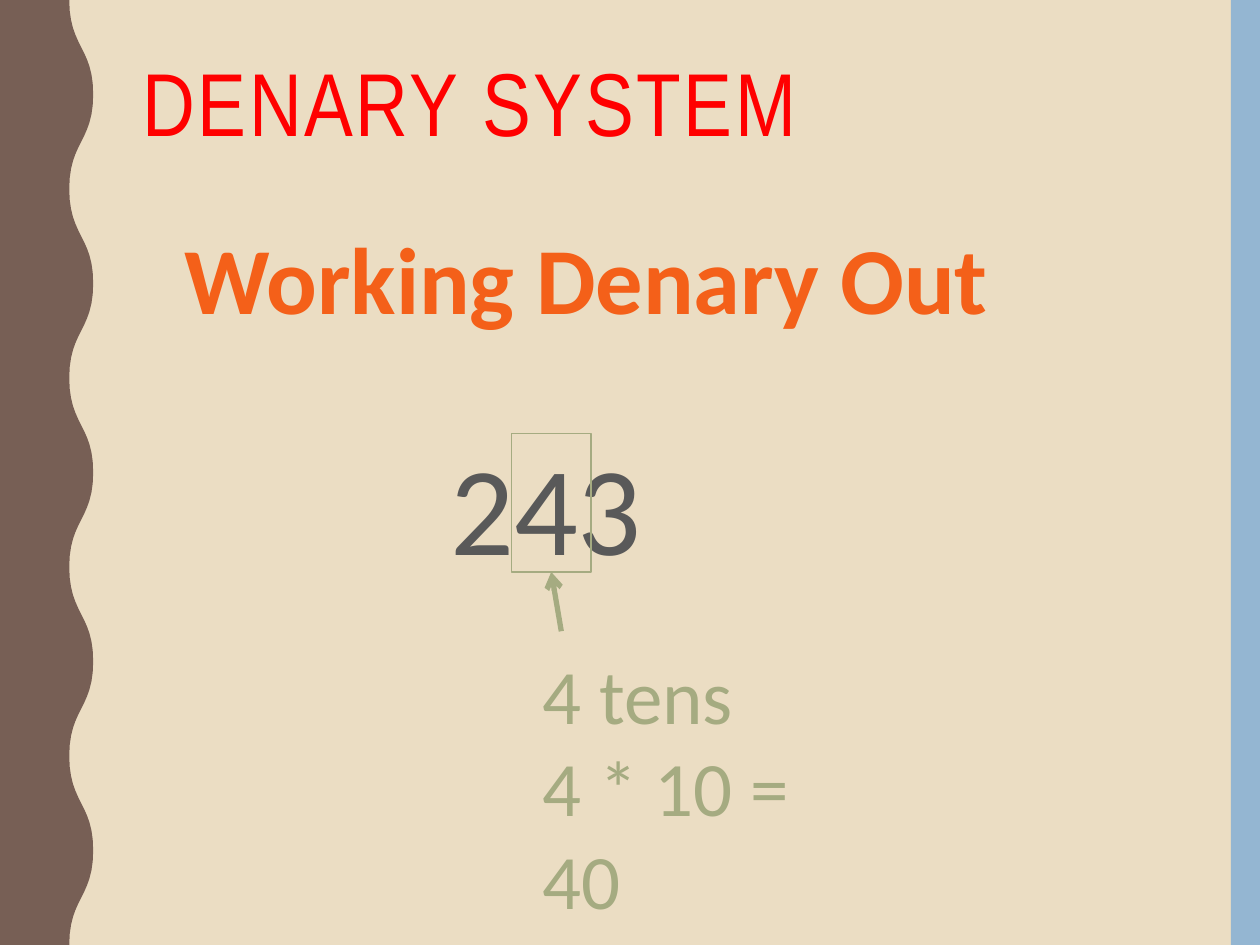
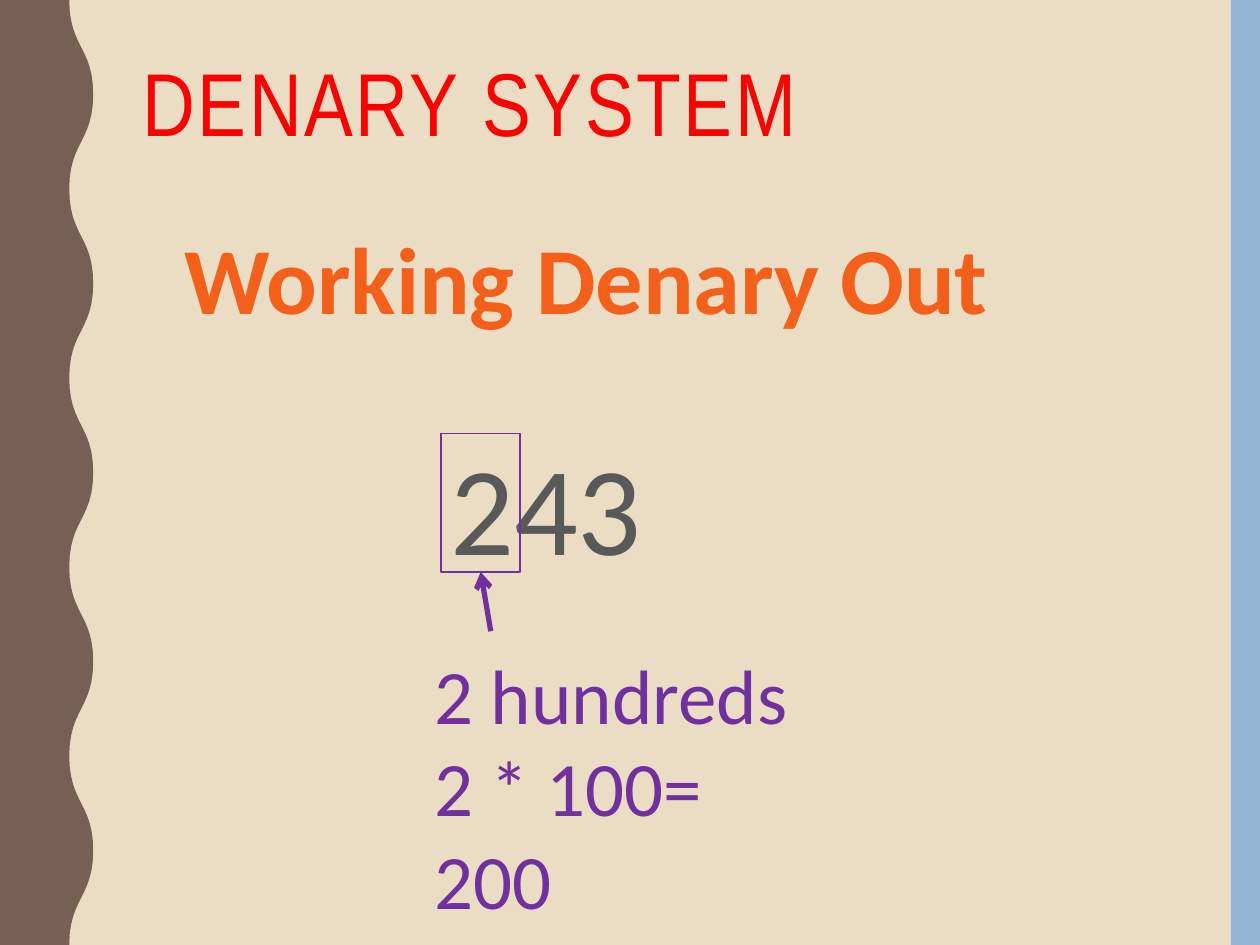
from lxml import etree
from pptx import Presentation
from pptx.dml.color import RGBColor
from pptx.enum.shapes import MSO_CONNECTOR, MSO_SHAPE
from pptx.enum.text import MSO_ANCHOR, MSO_AUTO_SIZE, PP_ALIGN
from pptx.oxml.ns import qn
from pptx.util import Pt

LEFT, CENTER = PP_ALIGN.LEFT, PP_ALIGN.CENTER
TOP, NO_FIT = MSO_ANCHOR.TOP, MSO_AUTO_SIZE.NONE
RECT, STRAIGHT = MSO_SHAPE.RECTANGLE, MSO_CONNECTOR.STRAIGHT

SAND = RGBColor(0xEB, 0xDD, 0xC3)
BROWN = RGBColor(0x77, 0x5F, 0x55)
BLUE = RGBColor(0x94, 0xB6, 0xD2)
RED = RGBColor(0xFF, 0x00, 0x00)
ORANGE = RGBColor(0xF4, 0x60, 0x19)
GREY = RGBColor(0x59, 0x59, 0x59)
GREEN = RGBColor(0xA5, 0xAB, 0x81)
PURPLE = RGBColor(0x70, 0x30, 0xA0)

WIDTH, HEIGHT = 720, 540
TITLE_BOX = (74.16, 30.24, 601.2, 117.36)
HEADING_BOX = (87.84, 122.4, 494.64, 72.72)
NUMBER_BOX = (195.84, 241.92, 232.56, 96.48)
DIGIT_TOP, DIGIT_WIDTH, DIGIT_HEIGHT = 247.68, 45.36, 79.2
LABEL_TOP, LABEL_HEIGHT = 366.48, 113.76

DIGITS = [
    dict(left=292.32, label_left=303.12, label_width=208.08, color=GREEN,
         lines=["4 tens", "4 * 10 = 40"]),
    dict(left=252, label_left=241.2, label_width=243.36, color=PURPLE,
         lines=["2 hundreds", "2 * 100= 200"]),
]


def write(sp, lines, size, color, font="Calibri", bold=False, align=LEFT,
          line_spacing=None, before=0, tracking=0, right_inset=7.2):
    """Fill a text shape with one formatted paragraph per line."""
    tf = sp.text_frame
    tf.word_wrap, tf.auto_size, tf.vertical_anchor = True, NO_FIT, TOP
    tf.margin_right = Pt(right_inset)
    for i, line in enumerate(lines):
        p = tf.add_paragraph() if i else tf.paragraphs[0]
        p.alignment, p.line_spacing, p.space_before = align, line_spacing, Pt(before)
        r = p.add_run()
        r.text = line
        r.font.name, r.font.size, r.font.bold = font, Pt(size), bold
        r.font.color.rgb = color
        if tracking:
            r.font._element.set("spc", str(int(tracking * 100)))


def text_box(s, box, lines, size, color, **style):
    """Add a text box at the given box."""
    write(s.shapes.add_textbox(*map(Pt, box)), lines, size, color, **style)


def paint(sp, color):
    """Give a shape a flat fill without outline or shadow."""
    sp.shadow.inherit = False
    sp.fill.solid()
    sp.fill.fore_color.rgb = color
    sp.line.fill.background()


def wave_band(s, trough=39.6, crest=53.28, swings=10, steps=12):
    """Draw the wavy band down the left edge."""
    swing = HEIGHT / swings
    edge = []
    for n in range(swings):
        for k in range(steps):
            t = k / steps
            ease = 3 * t**2 - 2 * t**3
            share = 1 - ease if n % 2 else ease
            drop = 1.5 * t * (1 - t) + t**3
            edge.append((Pt(trough + (crest - trough) * share), Pt(swing * (n + drop))))
    edge += [(Pt(trough), Pt(HEIGHT)), (0, Pt(HEIGHT))]
    fb = s.shapes.build_freeform(0, 0)
    fb.add_line_segments(edge, close=True)
    paint(fb.convert_to_shape(), BROWN)


def backdrop(s, stripe=16.56):
    """Set the background, the right stripe and the left wave."""
    s.background.fill.solid()
    s.background.fill.fore_color.rgb = SAND
    paint(s.shapes.add_shape(RECT, Pt(WIDTH - stripe), 0, Pt(stripe), Pt(HEIGHT)), BLUE)
    wave_band(s)


def title(s, text):
    """Place and format the title placeholder."""
    sp = s.shapes.title
    sp.left, sp.top, sp.width, sp.height = map(Pt, TITLE_BOX)
    write(sp, [text], 51, RED, font="Arial Narrow", line_spacing=0.9, tracking=1.5)


def digit_frame(s, left, color):
    """Outline one digit and point an arrow at the frame from below."""
    sp = s.shapes.add_shape(RECT, Pt(left), Pt(DIGIT_TOP), Pt(DIGIT_WIDTH), Pt(DIGIT_HEIGHT))
    sp.shadow.inherit = False
    sp.fill.background()
    sp.line.color.rgb, sp.line.width = color, Pt(1)
    x, y = left + DIGIT_WIDTH / 2, DIGIT_TOP + DIGIT_HEIGHT
    arrow = s.shapes.add_connector(STRAIGHT, Pt(x + 5.76), Pt(y + 33.84), Pt(x), Pt(y))
    arrow.line.color.rgb, arrow.line.width = color, Pt(3)
    etree.SubElement(arrow.line._get_or_add_ln(), qn("a:tailEnd"), type="arrow")
    etree.SubElement(arrow._element.spPr, qn("a:effectLst"))


def digit_slide(prs, left, label_left, label_width, color, lines):
    """Build a slide that explains one digit of the number."""
    s = prs.slides.add_slide(prs.slide_layouts[5])
    backdrop(s)
    title(s, "DENARY SYSTEM")
    text_box(s, NUMBER_BOX, ["243"], 72, GREY, align=CENTER, before=7)
    text_box(s, (label_left, LABEL_TOP, label_width, LABEL_HEIGHT), lines, 44, color,
             right_inset=18)
    text_box(s, HEADING_BOX, ["Working Denary Out"], 54, ORANGE, bold=True, align=CENTER)
    digit_frame(s, left, color)


def main():
    """Build and save the presentation."""
    prs = Presentation()
    prs.slide_width, prs.slide_height = Pt(WIDTH), Pt(HEIGHT)
    for digit in DIGITS:
        digit_slide(prs, **digit)
    prs.save("out.pptx")


main()
